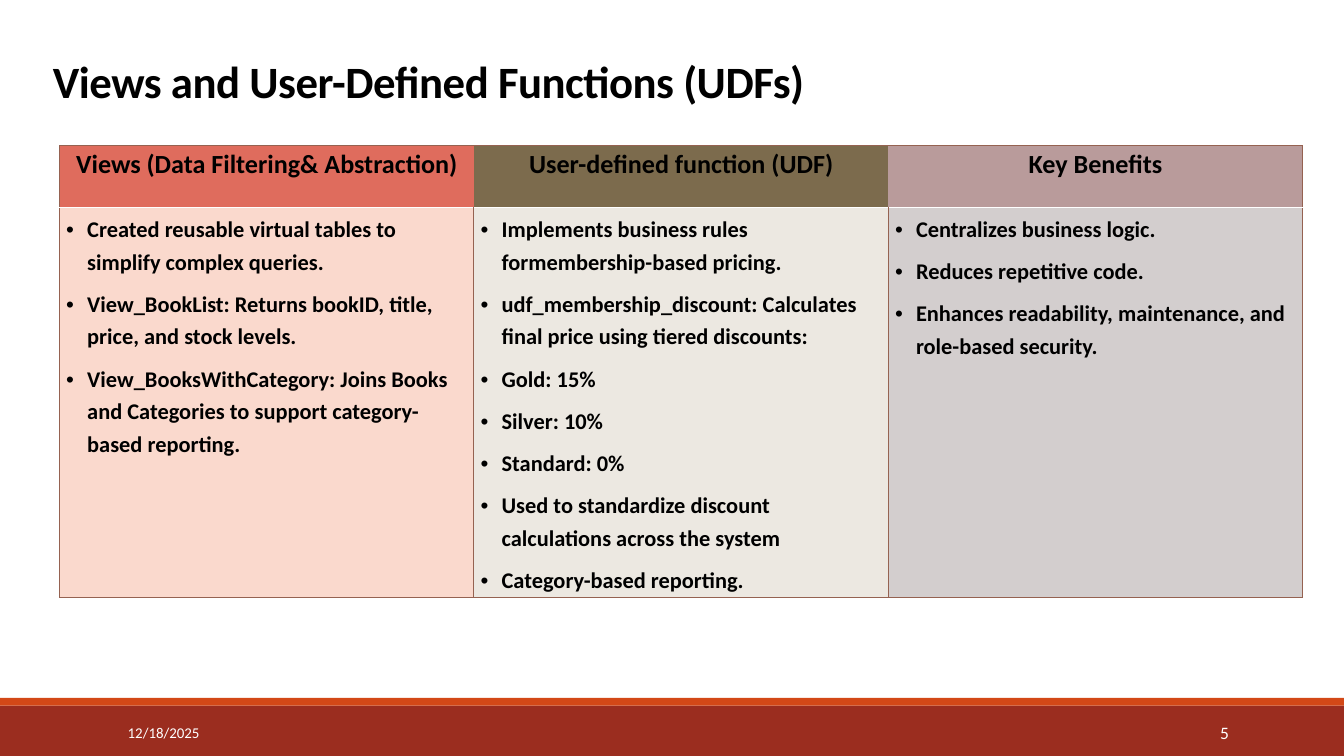
from lxml.etree import SubElement
from pptx import Presentation
from pptx.dml.color import RGBColor
from pptx.enum.shapes import MSO_SHAPE
from pptx.enum.text import MSO_ANCHOR, PP_ALIGN
from pptx.oxml.ns import qn
from pptx.util import Pt

PX = 9525
BLACK = RGBColor(0x00, 0x00, 0x00)
WHITE = RGBColor(0xFF, 0xFF, 0xFF)
BRICK = RGBColor(0x9B, 0x2D, 0x1F)
ORANGE = RGBColor(0xD3, 0x48, 0x17)
RULE = RGBColor(0x95, 0x62, 0x51)
CORAL = RGBColor(0xDF, 0x6C, 0x5D)
OLIVE = RGBColor(0x7C, 0x6B, 0x4D)
MAUVE = RGBColor(0xB9, 0x9B, 0x9B)
PEACH = RGBColor(0xFA, 0xD9, 0xCD)
SAND = RGBColor(0xEC, 0xE8, 0xE1)
GREY = RGBColor(0xD3, 0xCE, 0xCE)


def write(paragraph, text, color, font_format, paragraph_format):
    run = paragraph.add_run()
    run.text = text
    run.font.color.rgb = color
    for target, values in ((run.font, font_format), (paragraph, paragraph_format)):
        for name, value in values.items():
            setattr(target, name, value)
    return run


def style_cell(cell, fill, borders):
    properties = cell._tc.get_or_add_tcPr()
    for side in "LRTB":
        color, width = borders.get(side, (None, 0))
        line = SubElement(properties, qn(f"a:ln{side}"), w=str(int(Pt(width))))
        if color is None:
            SubElement(line, qn("a:noFill"))
        else:
            solid = SubElement(line, qn("a:solidFill"))
            SubElement(solid, qn("a:srgbClr"), val=str(color))
    cell.fill.solid()
    cell.fill.fore_color.rgb = fill


presentation = Presentation()
presentation.slide_width = 1920 * PX
presentation.slide_height = 1080 * PX
slide = presentation.slides.add_slide(presentation.slide_layouts[5])

for top, height, color in ((1008, 72, BRICK), (997, 11, ORANGE)):
    band = slide.shapes.add_shape(MSO_SHAPE.RECTANGLE, 0, top * PX, 1920 * PX, height * PX)
    band.shadow.inherit = False
    band.fill.solid()
    band.fill.fore_color.rgb = color
    band.line.fill.background()

heading = slide.shapes.title
heading_box = {"left": 66 * PX, "top": 60 * PX, "width": 1307 * PX, "height": 98 * PX}
for name, value in heading_box.items():
    setattr(heading, name, value)
heading.text_frame.word_wrap = True
heading.text_frame.vertical_anchor = MSO_ANCHOR.BOTTOM
heading_run = write(
    heading.text_frame.paragraphs[0],
    "Views and User-Defined Functions (UDFs)",
    BLACK,
    {"name": "Calibri", "size": Pt(48), "bold": True},
    {"alignment": PP_ALIGN.LEFT, "line_spacing": 0.85},
)
heading_run._r.get_or_add_rPr().set("spc", "-50")

footers = (
    ("12/18/2025", 173, 390, 16, PP_ALIGN.LEFT),
    ("5", 1559, 206, 18.7, PP_ALIGN.RIGHT),
)
for text, left, width, size, alignment in footers:
    footer = slide.shapes.add_textbox(left * PX, 1018 * PX, width * PX, 58 * PX)
    footer.text_frame.word_wrap = True
    footer.text_frame.vertical_anchor = MSO_ANCHOR.MIDDLE
    write(
        footer.text_frame.paragraphs[0],
        text,
        WHITE,
        {"name": "Calibri", "size": Pt(size)},
        {"alignment": alignment},
    )

topics = (
    ("Views (Data Filtering& Abstraction)", CORAL, PEACH, (
        "Created reusable virtual tables to simplify complex queries.",
        "View_BookList: Returns bookID, title, price, and stock levels.",
        "View_BooksWithCategory: Joins Books and Categories to support category-based reporting.",
    )),
    ("User-defined function (UDF)", OLIVE, SAND, (
        "Implements business rules formembership-based pricing.",
        "udf_membership_discount: Calculates final price using tiered discounts:",
        "Gold: 15%",
        "Silver: 10%",
        "Standard: 0%",
        "Used to standardize discount calculations across the system",
        "Category-based reporting.",
    )),
    ("Key Benefits", MAUVE, GREY, (
        "Centralizes business logic.",
        "Reduces repetitive code.",
        "Enhances readability, maintenance, and role-based security.",
    )),
)
header_font = {"name": "Calibri", "size": Pt(28), "bold": True}
bullet_font = {"name": "Calibri", "size": Pt(24), "bold": True}
bullet_spacing = {"line_spacing": 1.2, "space_before": Pt(10)}
thin = (RULE, 1)
divider = (WHITE, 1.25)

overview = slide.shapes.add_table(
    2, len(topics), 85 * PX, 208 * PX, 1776 * PX, 646 * PX
).table
overview.horz_banding = False
for row, height in zip(overview.rows, (88, 558)):
    row.height = height * PX

for index, (header, header_fill, body_fill, points) in enumerate(topics):
    overview.columns[index].width = 592 * PX
    header_cell, body_cell = overview.cell(0, index), overview.cell(1, index)
    header_borders = {"T": thin, "B": divider}
    if index == 0:
        header_borders["L"] = thin
    if index == len(topics) - 1:
        header_borders["R"] = thin
    style_cell(header_cell, header_fill, header_borders)
    style_cell(body_cell, body_fill, {"L": thin, "R": thin, "T": divider, "B": thin})
    write(
        header_cell.text_frame.paragraphs[0],
        header,
        BLACK,
        header_font,
        {"alignment": PP_ALIGN.CENTER},
    )
    body = body_cell.text_frame
    for number, point in enumerate(points):
        paragraph = body.add_paragraph() if number else body.paragraphs[0]
        write(paragraph, point, BLACK, bullet_font, bullet_spacing)
        properties = paragraph._p.get_or_add_pPr()
        properties.set("marL", str(30 * PX))
        properties.set("indent", str(-30 * PX))
        SubElement(properties, qn("a:buFont"), typeface="Arial")
        SubElement(properties, qn("a:buChar"), char="•")

presentation.save("out.pptx")
